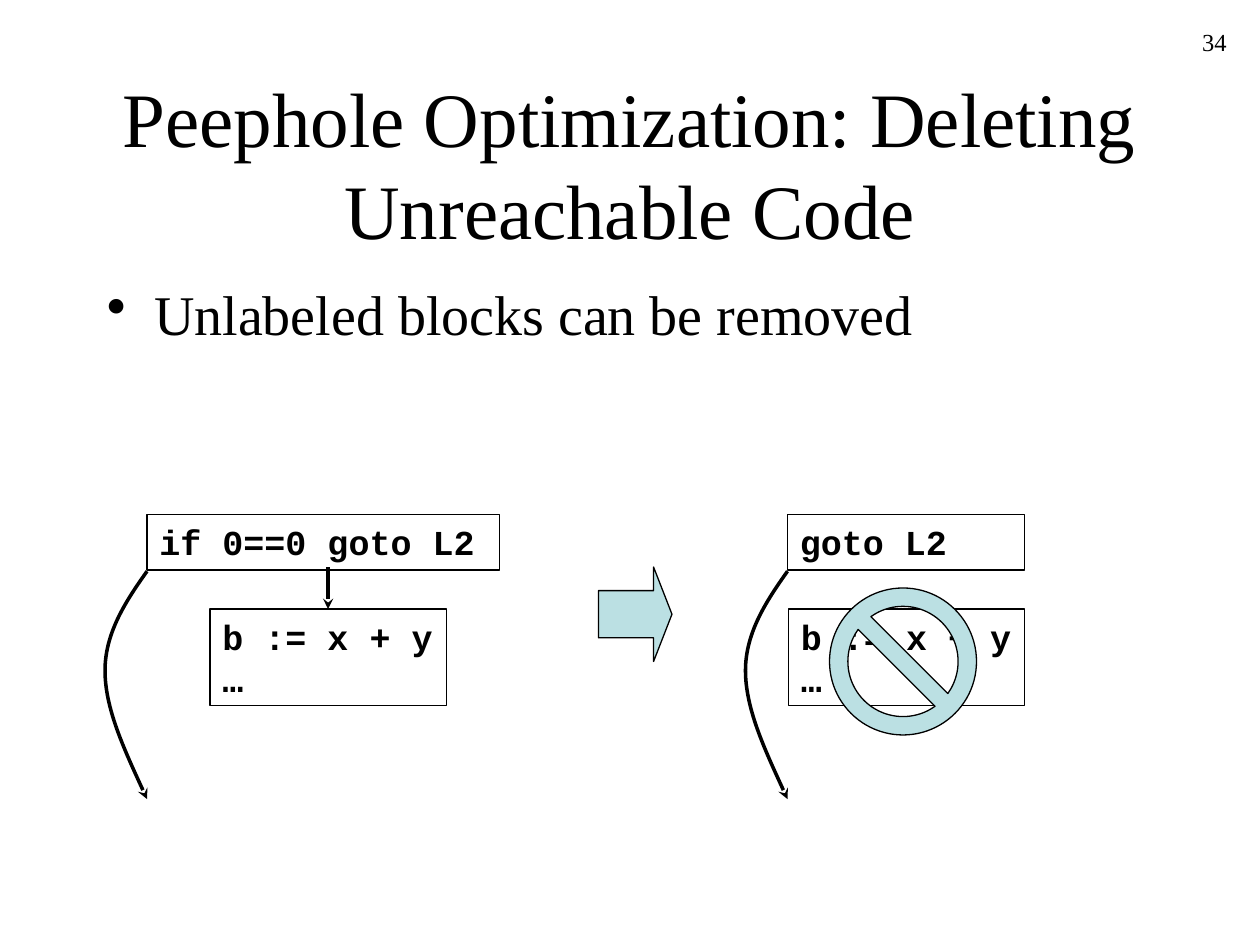
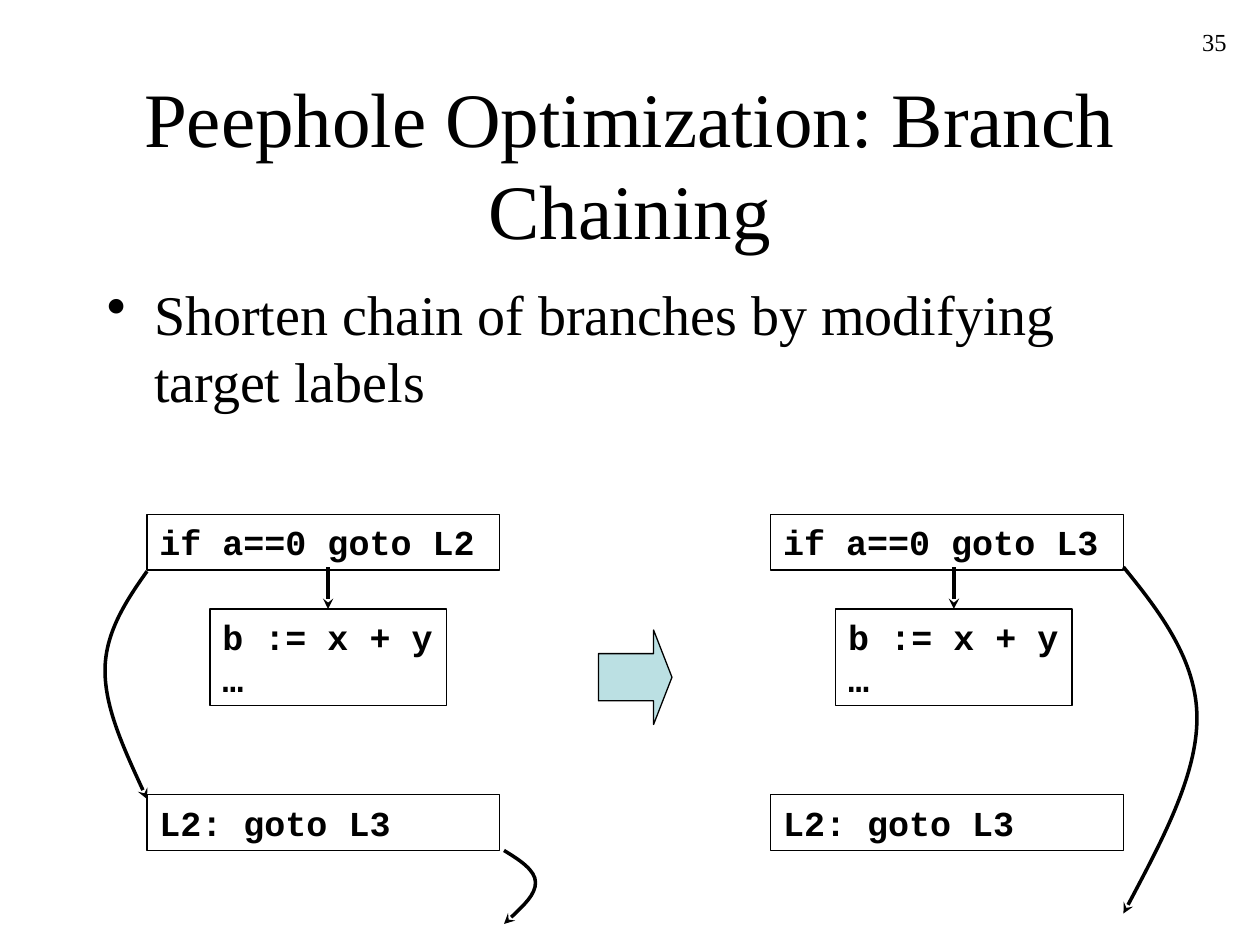
from dataclasses import dataclass

from lxml import etree
from pptx import Presentation
from pptx.dml.color import RGBColor
from pptx.enum.shapes import MSO_CONNECTOR, MSO_SHAPE
from pptx.enum.text import MSO_ANCHOR, MSO_AUTO_SIZE, PP_ALIGN
from pptx.oxml.ns import qn
from pptx.shapes.base import BaseShape
from pptx.slide import Slide
from pptx.util import Pt

# Shared look
SCALE = 7620  # EMU per px, 120 px to the inch
BLACK = RGBColor(0x00, 0x00, 0x00)
TEAL = RGBColor(0xBB, 0xE0, 0xE3)
SERIF = "Times New Roman"
MONO = "Courier New"
RECT = MSO_SHAPE.RECTANGLE
ARROW = MSO_SHAPE.RIGHT_ARROW
BAN = MSO_SHAPE.NO_SYMBOL
STRAIGHT = MSO_CONNECTOR.STRAIGHT
LEFT, CENTER, RIGHT = PP_ALIGN.LEFT, PP_ALIGN.CENTER, PP_ALIGN.RIGHT
TOP, MIDDLE = MSO_ANCHOR.TOP, MSO_ANCHOR.MIDDLE
FIT = MSO_AUTO_SIZE.SHAPE_TO_FIT_TEXT

# Diagram rows and sizes
CODE_Y, BLOCK_Y, LABEL_Y = 490, 580, 757
CODE_H, BLOCK_H = 53, 92
CODE_W, BLOCK_W = 336, 225
DROP_Y = 540
BLOCK = "b := x + y\n…"
# Points of a bent jump: share of the bulge, share of the height
BEND = ((0.5, 0.13), (1, 0.27), (1, 0.436), (1, 0.6), (0.5, 0.8), (0, 1))


@dataclass(frozen=True)
class Box:
    x: int
    y: int
    w: int
    h: int
    text: str
    wrap: bool = True


@dataclass(frozen=True)
class Jump:
    x: int
    y: int
    bulge: int
    h: int


@dataclass(frozen=True)
class Sign:
    kind: MSO_SHAPE
    x: int
    y: int
    w: int
    h: int
    adjust: tuple[float, ...]


@dataclass(frozen=True)
class Page:
    number: str
    title: str
    point: str
    boxes: tuple[Box, ...]
    drops: tuple[int, ...]  # indexes of boxes entered from above
    jumps: tuple[Jump, ...]
    signs: tuple[Sign, ...]


def px(value: float) -> int:
    return round(value * SCALE)


def block(x: int) -> Box:
    return Box(x, BLOCK_Y, BLOCK_W, BLOCK_H, BLOCK, False)


def code(x: int, text: str, y: int = CODE_Y, w: int = CODE_W) -> Box:
    return Box(x, y, w, CODE_H, text)


def shift(y: int) -> Sign:
    return Sign(ARROW, 570, y, 70, 90, (0.5, 0.25))


SIDE = Jump(140, 544, -40, 217)
PAGES = (
    Page("34", "Peephole Optimization: Deleting Unreachable Code",
         "Unlabeled blocks can be removed",
         (block(751), code(750, "goto L2", w=226),
          block(200), code(140, "if 0==0 goto L2")),
         (2,),
         (SIDE, Jump(750, 544, -40, 217)),
         (shift(540), Sign(BAN, 790, 560, 140, 140, (0.125,)))),
    Page("35", "Peephole Optimization: Branch Chaining",
         "Shorten chain of branches by modifying target labels",
         (block(200), code(140, "if a==0 goto L2"),
          code(140, "L2: goto L3", LABEL_Y),
          block(796), code(734, "if a==0 goto L3"),
          code(734, "L2: goto L3", LABEL_Y)),
         (0, 3),
         (SIDE, Jump(1070, 540, 70, 330), Jump(480, 810, 30, 70)),
         (shift(600),)),
)


def write(shape: BaseShape, text: str, font: str, size: int,
          align: PP_ALIGN = LEFT, anchor: MSO_ANCHOR = TOP,
          wrap: bool = True, bold: bool = False) -> None:
    frame = shape.text_frame
    frame.word_wrap = wrap
    frame.vertical_anchor = anchor
    para = frame.paragraphs[0]
    para.text = text
    para.alignment = align
    for run in para.runs:
        run.font.name = font
        run.font.size = Pt(size)
        run.font.bold = bold
        run.font.color.rgb = BLACK


def label(slide: Slide, x: int, y: int, w: int, h: int, text: str, size: int,
          align: PP_ALIGN = LEFT, anchor: MSO_ANCHOR = TOP) -> BaseShape:
    shape = slide.shapes.add_textbox(px(x), px(y), px(w), px(h))
    write(shape, text, SERIF, size, align, anchor)
    return shape


def bullet(shape: BaseShape) -> None:
    para = shape.text_frame.paragraphs[0]
    para.space_before = Pt(8)
    props = para._p.get_or_add_pPr()
    props.set("marL", str(px(45)))
    props.set("indent", str(px(-45)))
    etree.SubElement(props, qn("a:buChar")).set("char", "•")


def outline(shape: BaseShape) -> None:
    shape.shadow.inherit = False
    shape.line.color.rgb = BLACK
    shape.line.width = Pt(0.75)


def arrow(shape: BaseShape) -> None:
    shape.line.color.rgb = BLACK
    shape.line.width = Pt(2)
    tail = etree.SubElement(shape.line._get_or_add_ln(), qn("a:tailEnd"))
    tail.set("type", "stealth")


def draw_box(slide: Slide, box: Box) -> BaseShape:
    shape = slide.shapes.add_shape(RECT, px(box.x), px(box.y), px(box.w), px(box.h))
    shape.fill.background()
    outline(shape)
    write(shape, box.text, MONO, 20, wrap=box.wrap, bold=True)
    shape.text_frame.auto_size = FIT
    return shape


def draw_drop(slide: Slide, target: BaseShape) -> None:
    mid = target.left + target.width // 2
    line = slide.shapes.add_connector(STRAIGHT, mid, px(DROP_Y), mid, target.top)
    line.end_connect(target, 0)
    arrow(line)
    etree.SubElement(line._element.spPr, qn("a:effectLst"))


def draw_jump(slide: Slide, jump: Jump) -> None:
    pen = slide.shapes.build_freeform(px(jump.x), px(jump.y))
    pen.add_line_segments([(px(jump.x + u * jump.bulge), px(jump.y + v * jump.h))
                           for u, v in BEND], close=False)
    shape = pen.convert_to_shape()
    # Turn each three line segments into one cubic curve
    route = next(shape._element.iter(qn("a:path")))
    legs = route.findall(qn("a:lnTo"))
    for start in range(0, len(legs), 3):
        curve = etree.SubElement(route, qn("a:cubicBezTo"))
        for leg in legs[start:start + 3]:
            curve.append(leg[0])
            route.remove(leg)
    shape.fill.background()
    shape.shadow.inherit = False
    arrow(shape)


def draw_sign(slide: Slide, sign: Sign) -> None:
    shape = slide.shapes.add_shape(sign.kind, px(sign.x), px(sign.y),
                                   px(sign.w), px(sign.h))
    for index, value in enumerate(sign.adjust):
        shape.adjustments[index] = value
    shape.fill.solid()
    shape.fill.fore_color.rgb = TEAL
    outline(shape)


def draw_page(slide: Slide, page: Page) -> None:
    # Heading and bullet
    label(slide, 90, 80, 1020, 150, page.title, 44, CENTER, MIDDLE)
    bullet(label(slide, 90, 260, 1020, 540, page.point, 32))
    # Flow diagram
    shapes = [draw_box(slide, box) for box in page.boxes]
    for index in page.drops:
        draw_drop(slide, shapes[index])
    for jump in page.jumps:
        draw_jump(slide, jump)
    for sign in page.signs:
        draw_sign(slide, sign)
    # Page number
    label(slide, 930, 20, 250, 60, page.number, 14, RIGHT)


def main() -> None:
    deck = Presentation()
    deck.slide_width, deck.slide_height = px(1200), px(900)
    for page in PAGES:
        draw_page(deck.slides.add_slide(deck.slide_layouts[6]), page)
    deck.save("out.pptx")


if __name__ == "__main__":
    main()
